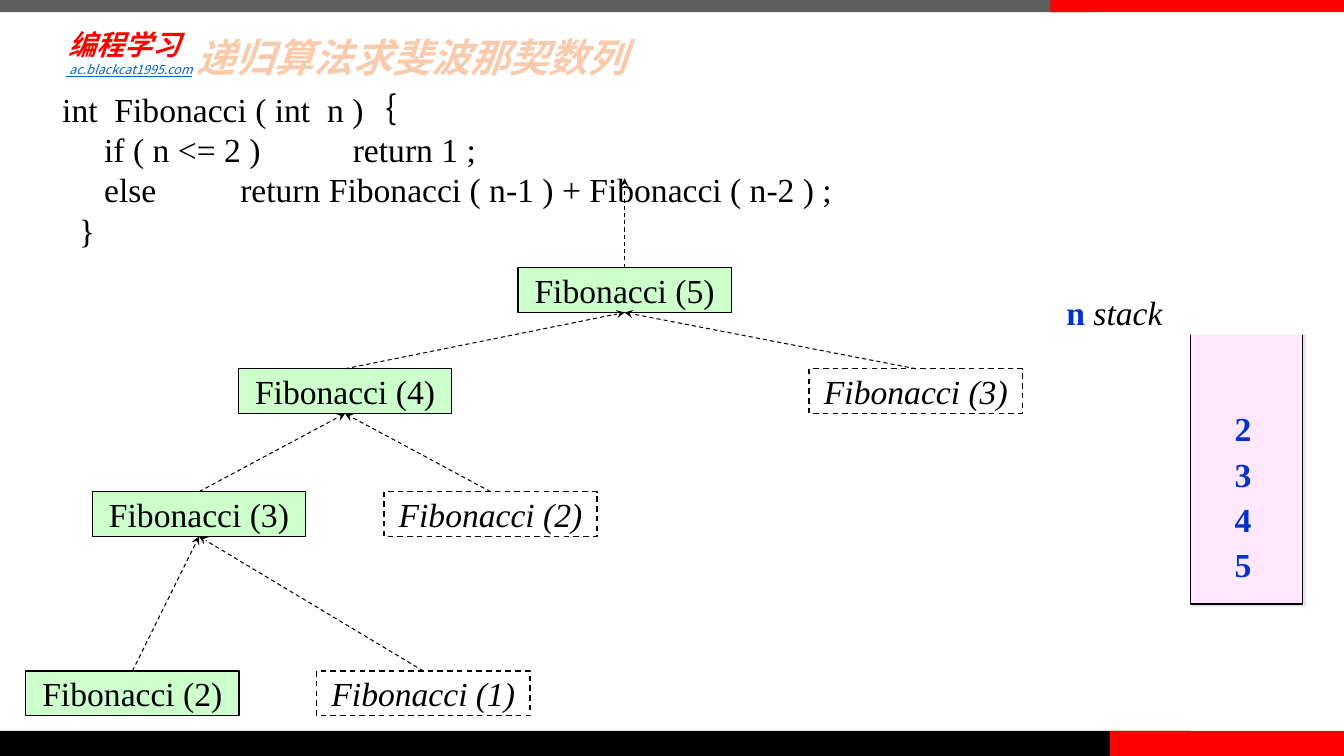
from dataclasses import dataclass

from pptx import Presentation
from pptx.dml.color import RGBColor
from pptx.enum.dml import MSO_LINE
from pptx.enum.shapes import MSO_CONNECTOR, MSO_SHAPE
from pptx.enum.text import MSO_ANCHOR, MSO_AUTO_SIZE, PP_ALIGN
from pptx.oxml import parse_xml
from pptx.oxml.ns import nsdecls, qn
from pptx.oxml.xmlchemy import OxmlElement
from pptx.util import Pt


@dataclass(frozen=True)
class Theme:
    black: str = "000000"
    white: str = "FFFFFF"
    gray: str = "5E5E5E"
    red: str = "FF0000"
    peach: str = "F8CBAD"
    link: str = "0563C1"
    blue: str = "0033CC"
    green: str = "CCFFCC"
    pink: str = "FFE7FF"
    shadow: str = "E7E6E6"
    serif: str = "Times New Roman"
    sans: str = "Calibri"
    chinese: str = "Noto Sans CJK SC"
    title_size: float = 28
    body_size: float = 24
    brand_size: float = 20
    link_size: float = 9


THEME = Theme()

TITLE = "递归算法求斐波那契数列"
BRAND = "编程学习"
ADDRESS = " ac.blackcat1995.com"
CODE = [
    "int  Fibonacci ( int  n )｛",
    "     if ( n <= 2 )           return 1 ;",
    "     else          return Fibonacci ( n-1 ) + Fibonacci ( n-2 ) ;",
    "  }",
]
BARS = [  # left, top, width, height, colour
    (0, 0, 778.5, 8.64, THEME.gray),
    (0, 522, 850, 18, THEME.black),
    (792.7, 522, 167.3, 18, THEME.red),
    (750.25, 0, 209.75, 8.64, THEME.red),
]
CALLS = {  # key: argument, left, top, already called, parent key
    "root": (5, 370, 191.2, True, None),
    "left": (4, 170.3, 263.4, True, "root"),
    "right": (3, 578, 263.4, False, "root"),
    "left-left": (3, 66, 351.2, True, "left"),
    "left-right": (2, 274.2, 351.2, False, "left"),
    "leaf-left": (2, 18.4, 479.3, True, "left-left"),
    "leaf-right": (1, 226.2, 479.3, False, "left-left"),
}
CALL_WIDTH, CALL_HEIGHT = 152.4, 32
RESULT_TOP = 127.4
STACK = [2, 3, 4, 5]
STACK_TOP, STACK_STEP = 295.9, 32.4
TOP, BOTTOM = 0, 2


def rgb(value):
    return RGBColor.from_string(value)


def style(paragraph, size, colour, name=THEME.serif, bold=False, italic=False):
    font = paragraph.font
    font.size, font.name, font.bold, font.italic = Pt(size), name, bold, italic
    font.color.rgb = rgb(colour)
    east_asian = OxmlElement("a:ea")
    east_asian.set("typeface", THEME.chinese)
    paragraph._p.pPr.find(qn("a:defRPr")).append(east_asian)


def set_margins(frame, horizontal, vertical):
    frame.margin_left = frame.margin_right = Pt(horizontal)
    frame.margin_top = frame.margin_bottom = Pt(vertical)


def add_rectangle(page, left, top, width, height, fill, outlined=False):
    box = page.shapes.add_shape(
        MSO_SHAPE.RECTANGLE, Pt(left), Pt(top), Pt(width), Pt(height))
    box.shadow.inherit = False
    box.fill.solid()
    box.fill.fore_color.rgb = rgb(fill)
    if outlined:
        box.line.color.rgb = rgb(THEME.black)
        box.line.width = Pt(1)
    else:
        box.line.fill.background()
    return box


def add_text(page, left, top, width, height, lines, *styling, **options):
    box = page.shapes.add_textbox(Pt(left), Pt(top), Pt(width), Pt(height))
    frame = box.text_frame
    frame.word_wrap = True
    frame.text = "\n".join(lines)
    for paragraph in frame.paragraphs:
        style(paragraph, *styling, **options)
    return frame


def add_arrow(page, start, end):
    arrow = page.shapes.add_connector(
        MSO_CONNECTOR.STRAIGHT, *(Pt(value) for value in start + end))
    arrow.line.color.rgb = rgb(THEME.black)
    arrow.line.width = Pt(0.75)
    arrow.line.dash_style = MSO_LINE.DASH
    head = OxmlElement("a:tailEnd")
    head.set("type", "stealth")
    arrow.line._get_or_add_ln().append(head)
    arrow._element.spPr.append(OxmlElement("a:effectLst"))
    return arrow


def add_header(page):
    for bar in BARS:
        add_rectangle(page, *bar)
    brand = add_text(page, 44.6, 15.8, 92.2, 32.4, [BRAND], THEME.brand_size,
                     THEME.red, THEME.sans, bold=True, italic=True)
    brand.vertical_anchor = MSO_ANCHOR.MIDDLE
    set_margins(brand, 4.3, 4.3)
    address = add_text(page, 40.3, 40.3, 409, 18, [ADDRESS], THEME.link_size,
                       THEME.link, THEME.chinese, italic=True)
    address.paragraphs[0].font.underline = True

    title = page.shapes.title
    title.left, title.top, title.width, title.height = (
        Pt(131), Pt(25.2), Pt(800.6), Pt(38.9))
    frame = title.text_frame
    frame.text = TITLE
    frame.auto_size = MSO_AUTO_SIZE.NONE
    frame.vertical_anchor = MSO_ANCHOR.TOP
    set_margins(frame, 9.4, 5)
    heading = frame.paragraphs[0]
    heading.alignment = PP_ALIGN.LEFT
    heading.line_spacing = 0.8
    heading.space_before = Pt(0)
    style(heading, THEME.title_size, THEME.peach, THEME.chinese, bold=True, italic=True)


def add_call_tree(page):
    boxes = {}
    for key, (argument, left, top, called, _) in CALLS.items():
        box = add_rectangle(page, left, top, CALL_WIDTH, CALL_HEIGHT,
                            THEME.green if called else THEME.white, outlined=True)
        if not called:
            box.line.dash_style = MSO_LINE.DASH
        frame = box.text_frame
        frame.word_wrap = False
        frame.vertical_anchor = MSO_ANCHOR.MIDDLE
        frame.text = f"Fibonacci ({argument})"
        frame.paragraphs[0].alignment = PP_ALIGN.CENTER
        style(frame.paragraphs[0], THEME.body_size, THEME.black, italic=not called)
        boxes[key] = box

    for key, (_, left, top, _, parent) in CALLS.items():
        middle = left + CALL_WIDTH / 2
        if parent:
            _, parent_left, parent_top, _, _ = CALLS[parent]
            end = (parent_left + CALL_WIDTH / 2, parent_top + CALL_HEIGHT)
        else:
            end = (middle, RESULT_TOP)
        arrow = add_arrow(page, (middle, top), end)
        arrow.begin_connect(boxes[key], TOP)
        if parent:
            arrow.end_connect(boxes[parent], BOTTOM)


def add_stack(page):
    stack = add_rectangle(page, 850.3, 231.1, 80, 200.2, THEME.pink, outlined=True)
    properties = stack._element.spPr
    properties.remove(properties.find(qn("a:effectLst")))
    properties.append(parse_xml(
        f'<a:effectLst {nsdecls("a")}><a:outerShdw dist="{Pt(2.8)}" dir="2700000" '
        f'algn="ctr" rotWithShape="0"><a:srgbClr val="{THEME.shadow}"/>'
        '</a:outerShdw></a:effectLst>'))

    label = add_rectangle(page, 754.6, 207.4, 192.2, 31.7, THEME.white).text_frame
    label.word_wrap = False
    label.vertical_anchor = MSO_ANCHOR.MIDDLE
    paragraph = label.paragraphs[0]
    paragraph.alignment = PP_ALIGN.LEFT
    style(paragraph, THEME.body_size, THEME.black)
    variable, word = paragraph.add_run(), paragraph.add_run()
    variable.text, word.text = "n ", "stack"
    variable.font.bold = word.font.italic = True
    variable.font.color.rgb = rgb(THEME.blue)

    for row, value in enumerate(STACK):
        entry = add_text(page, 874.8, STACK_TOP + row * STACK_STEP, 26.6, 28.1,
                         [str(value)], THEME.body_size, THEME.blue, bold=True)
        entry.word_wrap = False
        entry.paragraphs[0].line_spacing = 0.7


def main():
    deck = Presentation()
    deck.slide_width, deck.slide_height = Pt(960), Pt(540)
    page = deck.slides.add_slide(deck.slide_layouts[5])
    add_header(page)
    add_text(page, 37.4, 59.8, 620, 123.8, CODE, THEME.body_size, THEME.black)
    add_call_tree(page)
    add_stack(page)
    deck.save("out.pptx")


if __name__ == "__main__":
    main()
